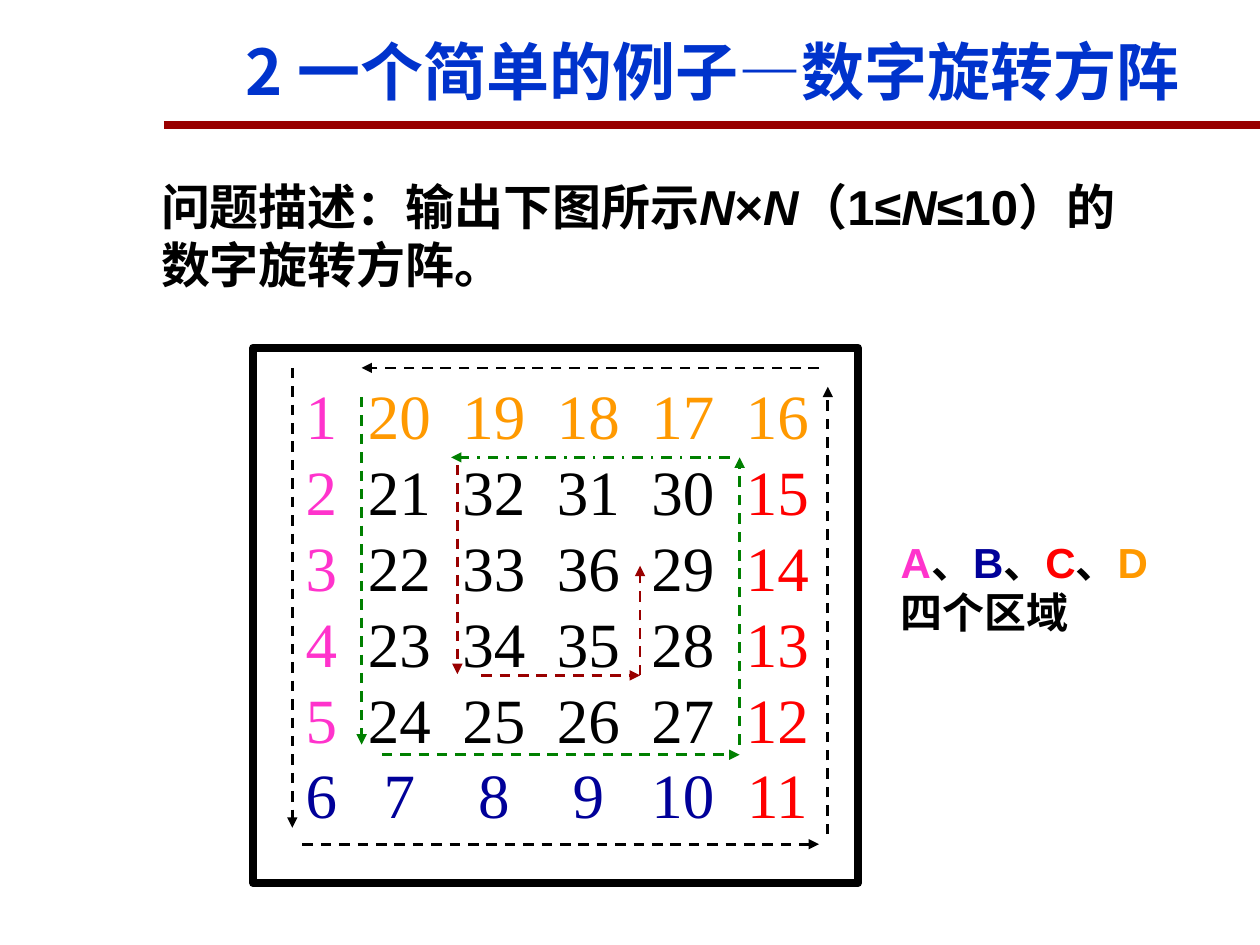
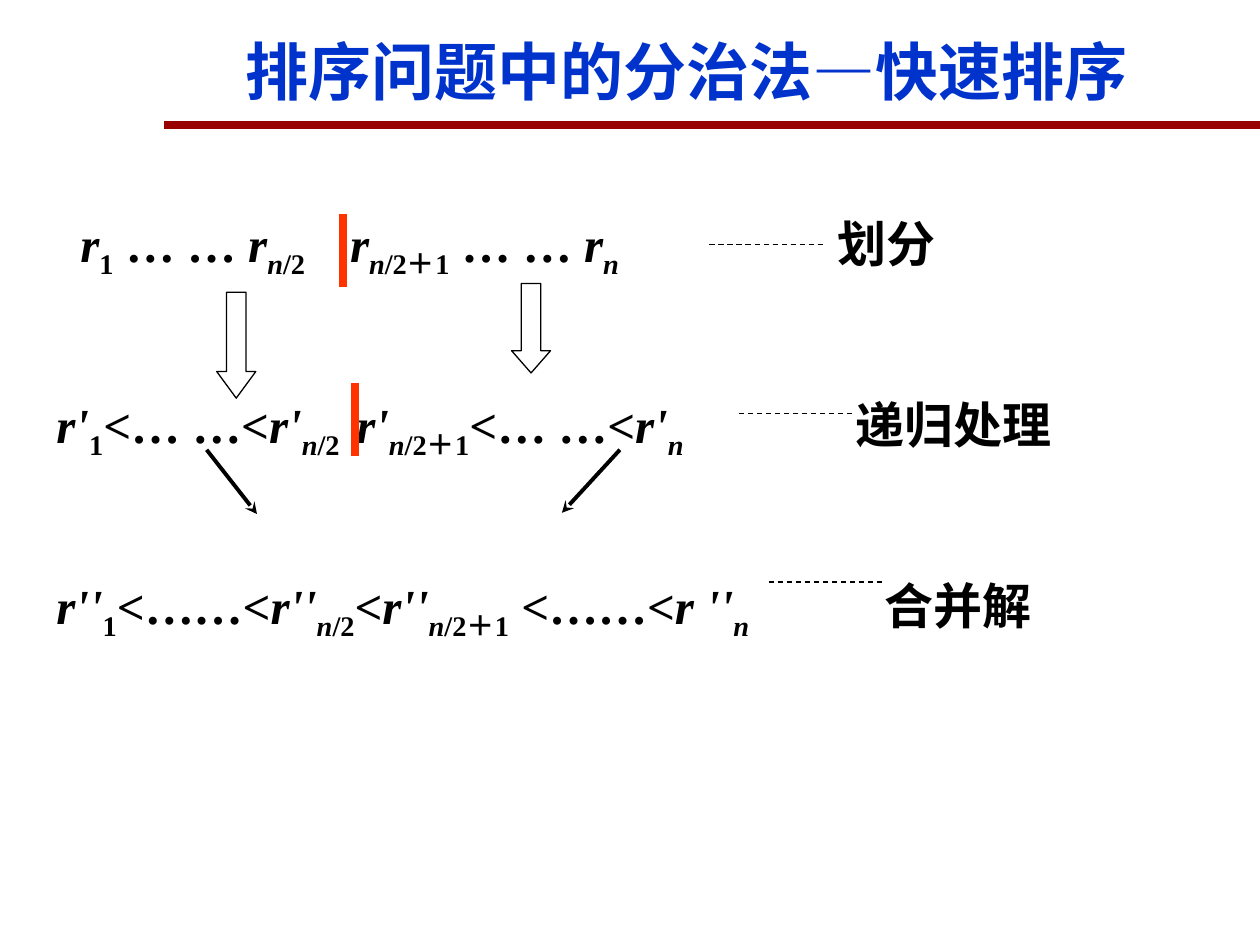
from lxml import etree
from pptx import Presentation
from pptx.dml.color import RGBColor
from pptx.enum.dml import MSO_LINE
from pptx.enum.shapes import MSO_CONNECTOR, MSO_SHAPE
from pptx.enum.text import MSO_ANCHOR, MSO_AUTO_SIZE, PP_ALIGN
from pptx.oxml.ns import qn
from pptx.util import Inches, Pt

STRAIGHT = MSO_CONNECTOR.STRAIGHT
RECTANGLE, DOWN_ARROW = MSO_SHAPE.RECTANGLE, MSO_SHAPE.DOWN_ARROW
DASH, DASH_DOT = MSO_LINE.DASH, MSO_LINE.DASH_DOT
TOP, MIDDLE = MSO_ANCHOR.TOP, MSO_ANCHOR.MIDDLE
LEFT = PP_ALIGN.LEFT
NO_AUTOFIT = MSO_AUTO_SIZE.NONE

BLACK = RGBColor(0x00, 0x00, 0x00)
WHITE = RGBColor(0xFF, 0xFF, 0xFF)
TITLE_BLUE = RGBColor(0x00, 0x33, 0xCC)
DARK_RED = RGBColor(0x99, 0x00, 0x00)
GREEN = RGBColor(0x00, 0x80, 0x00)
DIVIDER_RED = RGBColor(0xFF, 0x33, 0x00)
AREA_COLOURS = {
    "A": RGBColor(0xFF, 0x33, 0xCC),
    "B": RGBColor(0x00, 0x00, 0x99),
    "C": RGBColor(0xFF, 0x00, 0x00),
    "D": RGBColor(0xFF, 0x99, 0x00),
}

SANS, SERIF, CHINESE = "Arial", "Times New Roman", "Noto Sans CJK SC"

# The slide is a grid of 100 columns and 75 rows of square cells
SLIDE_WIDTH, SLIDE_HEIGHT = Inches(10), Inches(7.5)
CELL = SLIDE_WIDTH // 100
MATRIX_SIZE = 6


def grid(*lengths):
    return [round(length * CELL) for length in lengths]


def add_span(para, text, size, font=SANS, colour=BLACK, bold=True,
             italic=False, subscript=False):
    span = para.add_run()
    span.text = text
    span.font.size = Pt(size)
    span.font.name = font
    span.font.bold = bold
    span.font.italic = italic
    span.font.color.rgb = colour
    properties = span.font._element
    if subscript:
        properties.set("baseline", "-25000")
    east_asian = etree.Element(qn("a:ea"), typeface=CHINESE)
    properties.find(qn("a:latin")).addnext(east_asian)


def set_tabs(para, stops, align="l"):
    properties = para._p.get_or_add_pPr()
    tabs = etree.SubElement(properties, qn("a:tabLst"))
    for stop in stops:
        etree.SubElement(tabs, qn("a:tab"), pos=str(grid(stop)[0]), algn=align)


def set_frame(box, anchor=TOP, insets=(1, 0.5, 1, 0.5)):
    frame = box.text_frame
    frame.word_wrap = True
    frame.auto_size = NO_AUTOFIT
    frame.vertical_anchor = anchor
    (frame.margin_left, frame.margin_top,
     frame.margin_right, frame.margin_bottom) = grid(*insets)
    return frame


def add_paragraph(frame, index, line_height, gap=0):
    para = frame.paragraphs[0] if index == 0 else frame.add_paragraph()
    para.alignment = LEFT
    para.line_spacing = Pt(line_height)
    para.space_before = Pt(gap if index else 0)
    return para


def add_text(page, place, spans, size, line_height, top_inset):
    box = page.shapes.add_textbox(*grid(*place))
    frame = set_frame(box, insets=(1, top_inset, 1, 0.5))
    para = add_paragraph(frame, 0, line_height)
    for text, style in spans:
        add_span(para, text, size, **style)


def add_line(page, ends, colour=BLACK, width=1.5, dash=None, head=None):
    line = page.shapes.add_connector(STRAIGHT, *grid(*ends))
    line.line.color.rgb = colour
    line.line.width = Pt(width)
    if dash:
        line.line.dash_style = dash
    if head:
        etree.SubElement(line.line._get_or_add_ln(), qn("a:tailEnd"), type=head)
    etree.SubElement(line._element.spPr, qn("a:effectLst"))


def add_shape(page, kind, place, width, fill=None):
    shape = page.shapes.add_shape(kind, *grid(*place))
    shape.shadow.inherit = False
    if fill is None:
        shape.fill.background()
    else:
        shape.fill.solid()
        shape.fill.fore_color.rgb = fill
    shape.line.color.rgb = BLACK
    shape.line.width = Pt(width)
    return shape


def add_page(deck, title):
    page = deck.slides.add_slide(deck.slide_layouts[5])
    box = page.shapes.title
    box.left, box.top, box.width, box.height = grid(18.5, 2.1, 79.5, 7)
    para = set_frame(box, anchor=MIDDLE).paragraphs[0]
    para.alignment = LEFT
    add_span(para, title, 36, font=CHINESE, colour=TITLE_BLUE)
    add_line(page, (13, 9.9, 100, 9.9), DARK_RED, 4.5)
    return page


# Number spiral
def spiral(size):
    """Number the cells inwards: down, right, up, left."""
    numbers = {}
    row, column, down, right = 0, 0, 1, 0
    for number in range(1, size * size + 1):
        numbers[row, column] = number
        ahead = (row + down, column + right)
        if ahead in numbers or not all(0 <= step < size for step in ahead):
            down, right = -right, down
        row, column = row + down, column + right
    return numbers


def area_colour(number):
    side = (number - 1) // (MATRIX_SIZE - 1)
    return AREA_COLOURS["ABCD"[side]] if side < 4 else BLACK


def add_matrix(page):
    box = add_shape(page, RECTANGLE, (20.1, 27.6, 48, 42.5), 4.5, WHITE)
    frame = set_frame(box, insets=(0.4, 2.3, 0.4, 0.4))
    numbers = spiral(MATRIX_SIZE)
    stops = [5] + [11.2 + 7.5 * step for step in range(MATRIX_SIZE - 1)]
    for row in range(MATRIX_SIZE):
        para = add_paragraph(frame, row, 43.3)
        set_tabs(para, stops, "ctr")
        for column in range(MATRIX_SIZE):
            number = numbers[row, column]
            add_span(para, f"\t{number}", 36, font=SERIF, bold=False,
                     colour=area_colour(number))


def add_spiral_arrows(page):
    rings = [
        (BLACK, [(23.2, 29.2, 23.2, 65.7), (24, 67, 65, 67),
                 (65.7, 66.2, 65.7, 30.7), (65, 29.2, 28.7, 29.2)]),
        (GREEN, [(28.7, 31.5, 28.7, 59.1), (30.3, 59.9, 58.7, 59.9),
                 (58.7, 59.1, 58.7, 36.3)]),
        (DARK_RED, [(36.3, 36.9, 36.3, 53.5), (38.2, 53.6, 50.8, 53.6),
                    (50.8, 53.6, 50.8, 44.9)]),
    ]
    for colour, arrows in rings:
        for ends in arrows:
            add_line(page, ends, colour, dash=DASH, head="triangle")
    add_line(page, (57.9, 36.3, 35.8, 36.3), GREEN, dash=DASH_DOT,
             head="triangle")


def build_matrix_page(deck):
    page = add_page(deck, "2 一个简单的例子—数字旋转方阵")
    plain, variable = {}, {"italic": True}
    problem = [("问题描述：输出下图所示", plain), ("N", variable),
               ("×", plain), ("N", variable), ("（1≤", plain),
               ("N", variable), ("≤10）的数字旋转方阵。", plain)]
    add_text(page, (11.8, 13.1, 79.2, 10.4), problem, 28, 33.1, 1)
    add_matrix(page)
    add_spiral_arrows(page)
    areas = []
    for letter, colour in AREA_COLOURS.items():
        areas += [(letter, {"colour": colour}), ("、", plain)]
    areas[-1] = ("四个区域", plain)
    add_text(page, (70.5, 41.8, 22.8, 9), areas, 24, 29.1, 0.7)


# Quick sort
def term(name, index):
    """A variable with its index; only the n of the index is italic."""
    spans = [(name, {"italic": True})]
    if index.startswith("n"):
        spans.append(("n", {"italic": True, "subscript": True}))
        index = index[1:]
    if index:
        spans.append((index, {"subscript": True}))
    return spans


def sequence(name, dots, middle, later_dots, last):
    return [*term(name, "1"), (dots, {}), *term(name, "n/2"), (middle, {}),
            *term(name, "n/2＋1"), (later_dots, {}), *term(last, "n")]


def add_steps(page):
    steps = [
        ((1.9, 23.3, 62), [("\t", {})]
         + sequence("r", " … … ", "\t", " … … ", "r"), "划分"),
        ((23.8, 63.4),
         sequence("r'", "<… …<", "\t", "<… …<", "r'"), "递归处理"),
        ((65.7,),
         sequence("r''", "<……<", "<", " <……<", "r ''"), "合并解"),
    ]
    box = page.shapes.add_textbox(*grid(3.5, 16.2, 89, 41))
    frame = set_frame(box)
    for index, (stops, spans, label) in enumerate(steps):
        para = add_paragraph(frame, index, 40, gap=63.5)
        set_tabs(para, stops)
        for text, style in spans + [(f"\t{label}", {})]:
            add_span(para, text, 28, font=SERIF, **style)


def build_sort_page(deck):
    page = add_page(deck, "排序问题中的分治法—快速排序")
    add_steps(page)
    # Dividers between the halves
    for left, top in ((27.2, 17), (28.2, 30.4)):
        add_line(page, (left, top, left, top + 5.8), DIVIDER_RED, 4.5)
    # Arrows from step to step
    for left, top, height, head in ((17.2, 23.2, 8.4, 0.68),
                                    (40.6, 22.5, 7.1, 0.57)):
        arrow = add_shape(page, DOWN_ARROW, (left, top, 3.1, height), 0.75)
        arrow.adjustments[1] = head
    for ends in ((16.4, 35.7, 20.4, 40.8), (49.2, 35.7, 44.6, 40.7)):
        add_line(page, ends, width=2.25, head="stealth")
    # Leaders to the step names
    for step in range(3):
        left, top = 56.3 + 2.35 * step, 19.4 + 13.4 * step
        add_line(page, (left, top, left + 9.2, top), width=0.75, dash=DASH)


def main():
    deck = Presentation()
    deck.slide_width, deck.slide_height = SLIDE_WIDTH, SLIDE_HEIGHT
    build_matrix_page(deck)
    build_sort_page(deck)
    deck.save("out.pptx")


if __name__ == "__main__":
    main()
